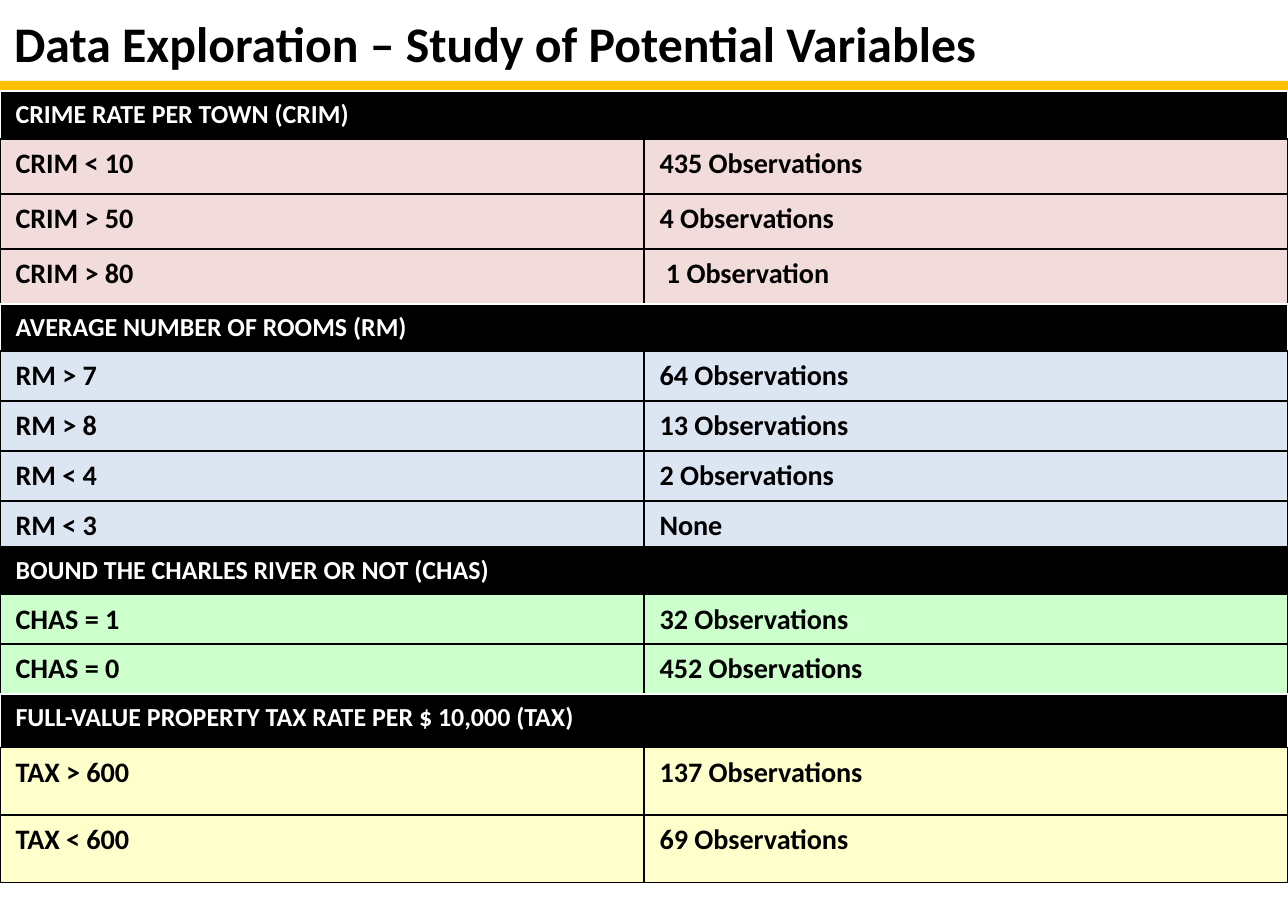
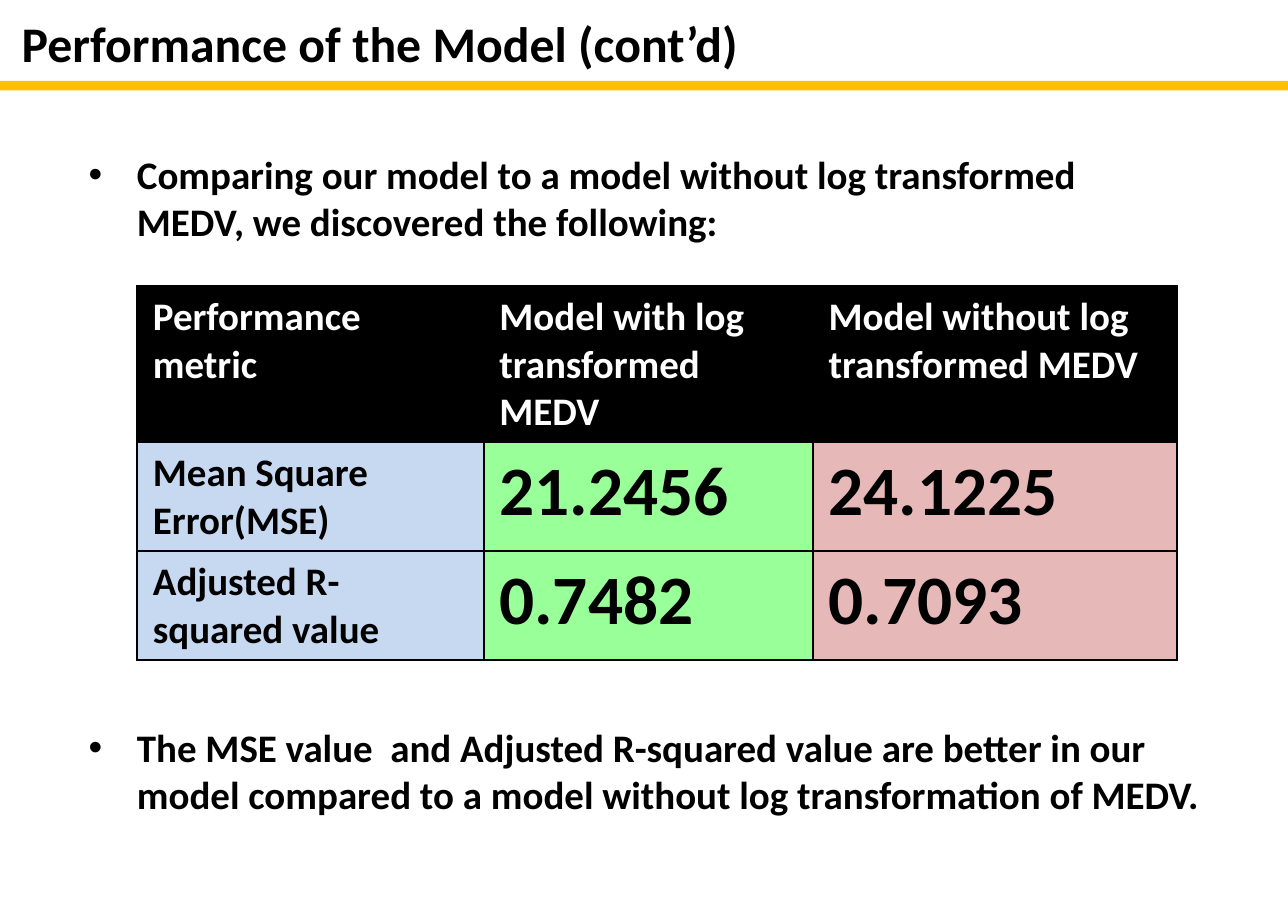
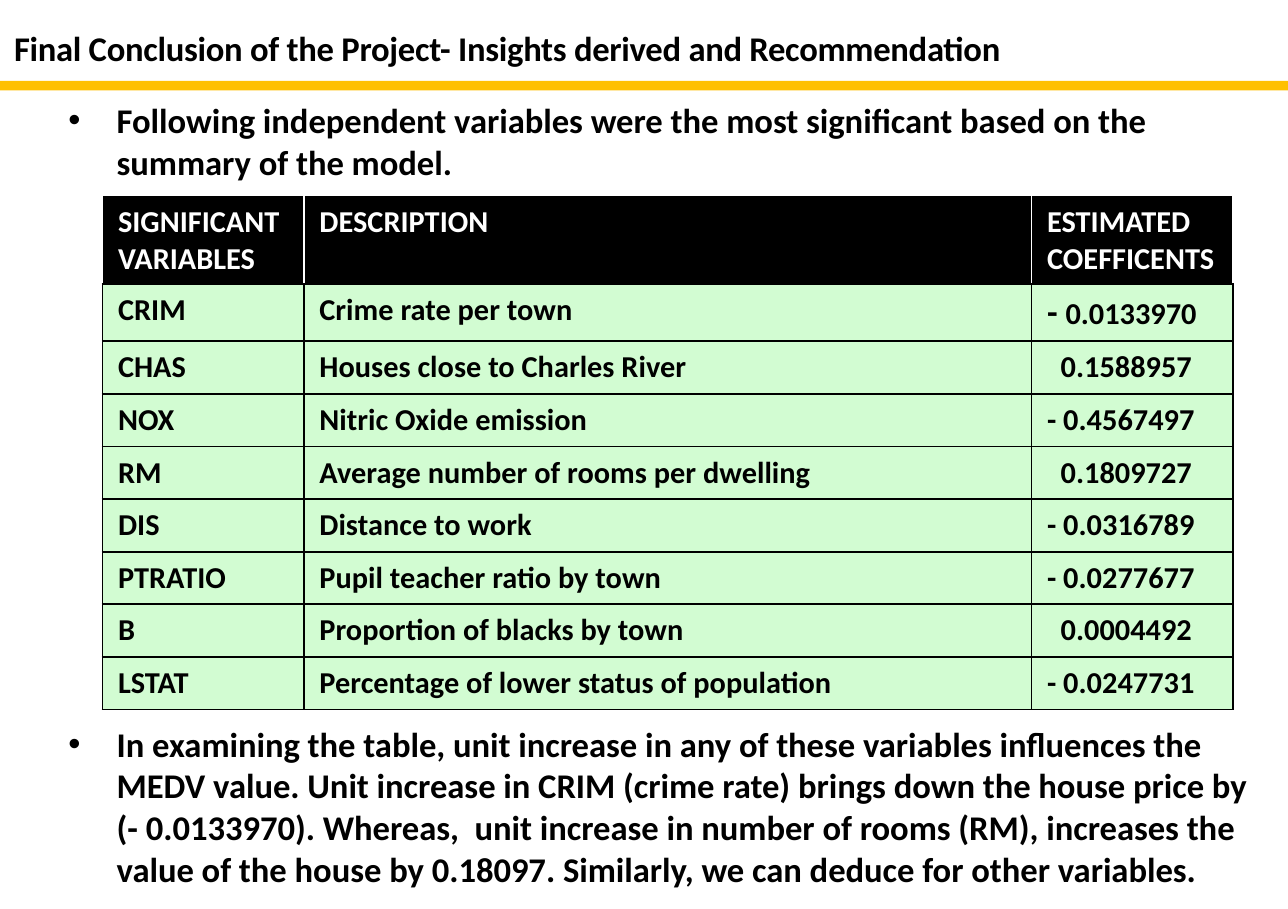
from lxml.etree import SubElement
from pptx import Presentation
from pptx.dml.color import RGBColor
from pptx.enum.shapes import MSO_SHAPE as Preset
from pptx.oxml.ns import qn
from pptx.util import Pt

WIDTH, HEIGHT = 594.72, 419.76
BLACK, WHITE, AMBER = "000000", "FFFFFF", "FFC000"
ROSE, ICE, MINT, CREAM = "F2DCDB", "DCE6F2", "CCFFCC", "FFFFCC"
SKY, GREEN, RED, PALE_GREEN = "C6D9F1", "99FF99", "E6B9B8", "D2FCD2"
FONT = "Calibri"
BULLET_INDENT = 22.3


def color(code):
    """Turn a hex string into a colour."""
    return RGBColor.from_string(code)


def write(frame, text, size=18, ink=BLACK, tracking=0):
    """Fill the first paragraph with a string or with (text, size) pairs."""
    para = frame.paragraphs[0]
    pieces = [(text, size)] if isinstance(text, str) else text
    for piece, piece_size in pieces:
        span = para.add_run()
        span.text = piece
        span.font.name = FONT
        span.font.size = Pt(piece_size)
        span.font.bold = True
        span.font.color.rgb = color(ink)
        if tracking:
            span._r.get_or_add_rPr().set("spc", str(round(tracking * 100)))
    return para


def add_box(slide, left, top, width, height):
    """Add an empty wrapping text box and return its frame."""
    frame = slide.shapes.add_textbox(Pt(left), Pt(top), Pt(width), Pt(height)).text_frame
    frame.word_wrap = True
    return frame


def add_page(deck, title, left=6.5, top=5.76, size=23, tracking=0):
    """Add a slide with the amber band and a title."""
    page = deck.slides.add_slide(deck.slide_layouts[6])
    band = page.shapes.add_shape(Preset.RECTANGLE, 0, Pt(37.4), Pt(WIDTH), Pt(4.4))
    band.shadow.inherit = False
    band.fill.solid()
    band.fill.fore_color.rgb = color(AMBER)
    band.line.fill.background()
    frame = add_box(page, left, top, 586, 28)
    frame.margin_left = frame.margin_right = frame.margin_top = frame.margin_bottom = 0
    write(frame, title, size=size, tracking=tracking)
    return page


def add_bullet(slide, text, left, top, width, height, size):
    """Add a text box with one bulleted paragraph."""
    para = write(add_box(slide, left, top, width, height), text, size=size)
    props = para._p.get_or_add_pPr()
    props.set("marL", str(Pt(BULLET_INDENT)))
    props.set("indent", str(-Pt(BULLET_INDENT)))
    SubElement(props, qn("a:buFont"), typeface="Arial")
    SubElement(props, qn("a:buChar"), char="•")


def style_cell(cell, fill, edge=BLACK):
    """Give a cell its fill and borders, with a black bottom border."""
    props = cell._tc.get_or_add_tcPr()
    for side, ink in zip("LRTB", (edge, edge, edge, BLACK)):
        line = SubElement(props, qn(f"a:ln{side}"), w=str(Pt(1)))
        paint = SubElement(line, qn("a:solidFill"))
        SubElement(paint, qn("a:srgbClr"), val=ink)
    cell.fill.solid()
    cell.fill.fore_color.rgb = color(fill)


def add_grid(slide, left, top, widths, heights, rows, fills, sizes, header_size, edge=BLACK):
    """Add a table with a black header; fills and sizes go by column."""
    frame = slide.shapes.add_table(len(rows), len(widths), Pt(left), Pt(top),
                                   Pt(sum(widths)), Pt(sum(heights)))
    table = frame.table
    table.first_row = table.horz_banding = False
    for column, width in zip(table.columns, widths):
        column.width = Pt(width)
    for r, (height, texts) in enumerate(zip(heights, rows)):
        table.rows[r].height = Pt(height)
        for c, (fill, size) in enumerate(zip(fills, sizes)):
            cell = table.cell(r, c)
            style_cell(cell, fill if r else BLACK, BLACK if r else edge)
            if c < len(texts):
                write(cell.text_frame, texts[c], size=size if r else header_size,
                      ink=BLACK if r else WHITE)
    if len(rows[0]) == 1:
        table.cell(0, 0).merge(table.cell(0, len(widths) - 1))
    return table


def build_exploration(deck):
    """Build the slide with four groups of observations."""
    page = add_page(deck, "Data Exploration – Study of Potential Variables")
    groups = [
        (42.2, 21.8, 25.5, ROSE, WHITE, "CRIME RATE PER TOWN (CRIM)",
         [("CRIM < 10", "435 Observations"), ("CRIM > 50", "4 Observations"),
          ("CRIM > 80", " 1 Observation")]),
        (140.4, 21.8, 23, ICE, WHITE, "AVERAGE NUMBER OF ROOMS (RM)",
         [("RM > 7", "64 Observations"), ("RM > 8", "13 Observations"),
          ("RM < 4", "2 Observations"), ("RM < 3", "None")]),
        (252.7, 21.8, 23, MINT, BLACK, "BOUND THE CHARLES RIVER OR NOT (CHAS)",
         [("CHAS = 1", "32 Observations"), ("CHAS = 0", "452 Observations")]),
        (320.4, 24.8, 31.2, CREAM, WHITE, "FULL-VALUE PROPERTY TAX RATE PER $ 10,000 (TAX)",
         [("TAX > 600", "137 Observations"), ("TAX < 600", "69 Observations")]),
    ]
    for top, header_height, row_height, fill, edge, heading, counts in groups:
        add_grid(page, 0, top, [WIDTH / 2] * 2, [header_height] + [row_height] * len(counts),
                 [(heading,)] + counts, [fill] * 2, [13] * 2, header_size=12, edge=edge)


def build_performance(deck):
    """Build the slide that compares two models."""
    page = add_page(deck, "Performance of the Model (cont’d)", left=10)
    add_bullet(page, "Comparing our model to a model without log transformed MEDV, "
               "we discovered the following:", 33.84, 66.2, 498, 51, 18)
    rows = [
        ("Performance metric", "Model with log transformed MEDV",
         "Model without log transformed MEDV"),
        ("Mean Square Error(MSE)", "21.2456", "24.1225"),
        ("Adjusted R-squared value", "0.7482", "0.7093"),
    ]
    add_grid(page, 63.4, 132, [160, 152, 168], [71.8, 50.3, 50.3], rows,
             [SKY, GREEN, RED], [18, 32, 32], header_size=18)
    add_bullet(page, "The MSE value  and Adjusted R-squared value are better in our model "
               "compared to a model without log transformation of MEDV.",
               33.84, 330.5, 540, 51, 18)


def build_conclusion(deck):
    """Build the slide with the significant variables."""
    page = add_page(deck, "Final Conclusion of the Project- Insights derived and Recommendation",
                    top=12.24, size=16, tracking=-0.1)
    add_bullet(page, "Following independent variables were the most significant based on "
               "the summary of the model.", 24.5, 42.2, 567, 46, 16)
    rows = [
        ("SIGNIFICANT VARIABLES", "DESCRIPTION", "ESTIMATED COEFFICENTS"),
        ("CRIM", "Crime rate per town", [("- ", 16), ("0.0133970", 14)]),
        ("CHAS", "Houses close to Charles River", "0.1588957"),
        ("NOX", "Nitric Oxide emission", "- 0.4567497"),
        ("RM", "Average number of rooms per dwelling", "0.1809727"),
        ("DIS", "Distance to work", "- 0.0316789"),
        ("PTRATIO", "Pupil teacher ratio by town", "- 0.0277677"),
        ("B", "Proportion of blacks by town", "0.0004492"),
        ("LSTAT", "Percentage of lower status of population", "- 0.0247731"),
    ]
    table = add_grid(page, 47.3, 90.3, [93, 336, 93], [40.2, 26.4] + [24.3] * 7, rows,
                     [PALE_GREEN] * 3, [14] * 3, header_size=14, edge=WHITE)
    for r in range(1, len(rows)):
        coefficient = table.cell(r, 2)
        if not coefficient.text_frame.text.startswith("-"):
            coefficient.margin_left = Pt(13.5)
    add_bullet(page, "In examining the table, unit increase in any of these variables "
               "influences the MEDV value. Unit increase in CRIM (crime rate) brings down "
               "the house price by (- 0.0133970). Whereas,  unit increase in number of rooms "
               "(RM), increases the value of the house by 0.18097. Similarly, we can deduce "
               "for other variables.", 24.5, 330.2, 567, 85, 16)


def main():
    """Build the deck and save it."""
    deck = Presentation()
    deck.slide_width, deck.slide_height = Pt(WIDTH), Pt(HEIGHT)
    build_exploration(deck)
    build_performance(deck)
    build_conclusion(deck)
    deck.save("out.pptx")


if __name__ == "__main__":
    main()
